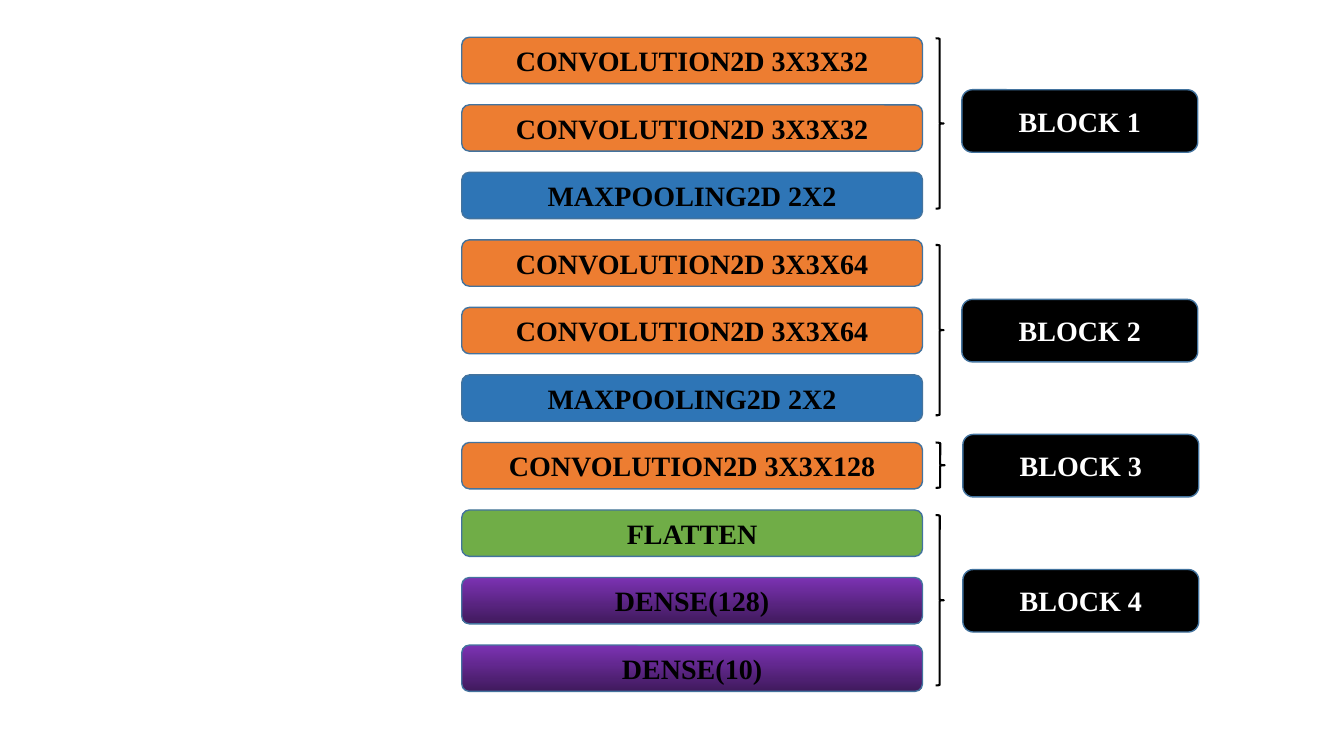
from pptx import Presentation
from pptx.dml.color import RGBColor
from pptx.enum.shapes import MSO_SHAPE
from pptx.enum.text import MSO_ANCHOR, PP_ALIGN
from pptx.util import Inches, Pt

ROUNDED = MSO_SHAPE.ROUNDED_RECTANGLE
BRACE = MSO_SHAPE.RIGHT_BRACE
MIDDLE = MSO_ANCHOR.MIDDLE
CENTER = PP_ALIGN.CENTER

ORANGE, BLUE, GREEN = "ED7D31", "2E75B6", "70AD47"
PURPLE = ("7B32B2", "401A5D")
BLACK, WHITE, OUTLINE = "000000", "FFFFFF", "43739E"

LAYER_LEFT, LAYER_TOP, LAYER_PITCH = 4.58, 0.37, 0.67
LAYER_SIZE = (4.57, 0.46)
BLOCK_SIZE = (2.34, 0.62)
BRACE_LEFT = 9.28

LAYERS = [
    ("CONVOLUTION2D 3X3X32", ORANGE),
    ("CONVOLUTION2D 3X3X32", ORANGE),
    ("MAXPOOLING2D 2X2", BLUE),
    ("CONVOLUTION2D 3X3X64", ORANGE),
    ("CONVOLUTION2D 3X3X64", ORANGE),
    ("MAXPOOLING2D 2X2", BLUE),
    ("CONVOLUTION2D 3X3X128", ORANGE),
    ("FLATTEN", GREEN),
    ("DENSE(128)", PURPLE),
    ("DENSE(10)", PURPLE),
]

# brace top, brace width, brace height, label left, label top
BLOCKS = [
    (0.38, 0.08, 1.69, 9.54, 0.89),
    (2.43, 0.08, 1.69, 9.54, 2.97),
    (4.39, 0.09, 0.45, 9.55, 4.31),
    (5.11, 0.08, 1.69, 9.55, 5.65),
]


def rgb(value):
    return RGBColor.from_string(value)


class Diagram:
    font_format = {"name": "Times New Roman", "size": Pt(20), "bold": True}

    def __init__(self, page):
        self.page = page

    def outlined(self, kind, left, top, size, color, weight):
        """Add a preset shape with a line and no shadow."""
        shape = self.page.shapes.add_shape(
            kind, Inches(left), Inches(top), *map(Inches, size))
        shape.shadow.inherit = False
        shape.line.color.rgb = rgb(color)
        shape.line.width = Pt(weight)
        return shape

    def paint(self, shape, fill):
        """Fill with one colour, or from top to bottom with a pair."""
        if isinstance(fill, str):
            shape.fill.solid()
            shape.fill.fore_color.rgb = rgb(fill)
            return
        shape.fill.gradient()
        shape.fill.gradient_angle = 270
        for stop, color in zip(shape.fill.gradient_stops, fill):
            stop.color.rgb = rgb(color)

    def box(self, text, left, top, size, fill, text_color):
        box = self.outlined(ROUNDED, left, top, size, OUTLINE, 1)
        self.paint(box, fill)
        frame = box.text_frame
        frame.vertical_anchor = MIDDLE
        para = frame.paragraphs[0]
        para.alignment = CENTER
        span = para.add_run()
        span.text = text
        for name, value in self.font_format.items():
            setattr(span.font, name, value)
        span.font.color.rgb = rgb(text_color)

    def brace(self, top, size):
        brace = self.outlined(BRACE, BRACE_LEFT, top, size, BLACK, 1.5)
        brace.fill.background()


def main():
    deck = Presentation()
    deck.slide_width, deck.slide_height = Inches(13.33), Inches(7.5)
    blank_layout = deck.slide_layouts[6]
    diagram = Diagram(deck.slides.add_slide(blank_layout))

    for row, (text, fill) in enumerate(LAYERS):
        top = LAYER_TOP + row * LAYER_PITCH
        diagram.box(text, LAYER_LEFT, top, LAYER_SIZE, fill, BLACK)

    for number, block in enumerate(BLOCKS, start=1):
        brace_top, width, height, left, top = block
        diagram.brace(brace_top, (width, height))
        diagram.box(f"BLOCK {number}", left, top, BLOCK_SIZE, BLACK, WHITE)

    deck.save("out.pptx")


if __name__ == "__main__":
    main()
